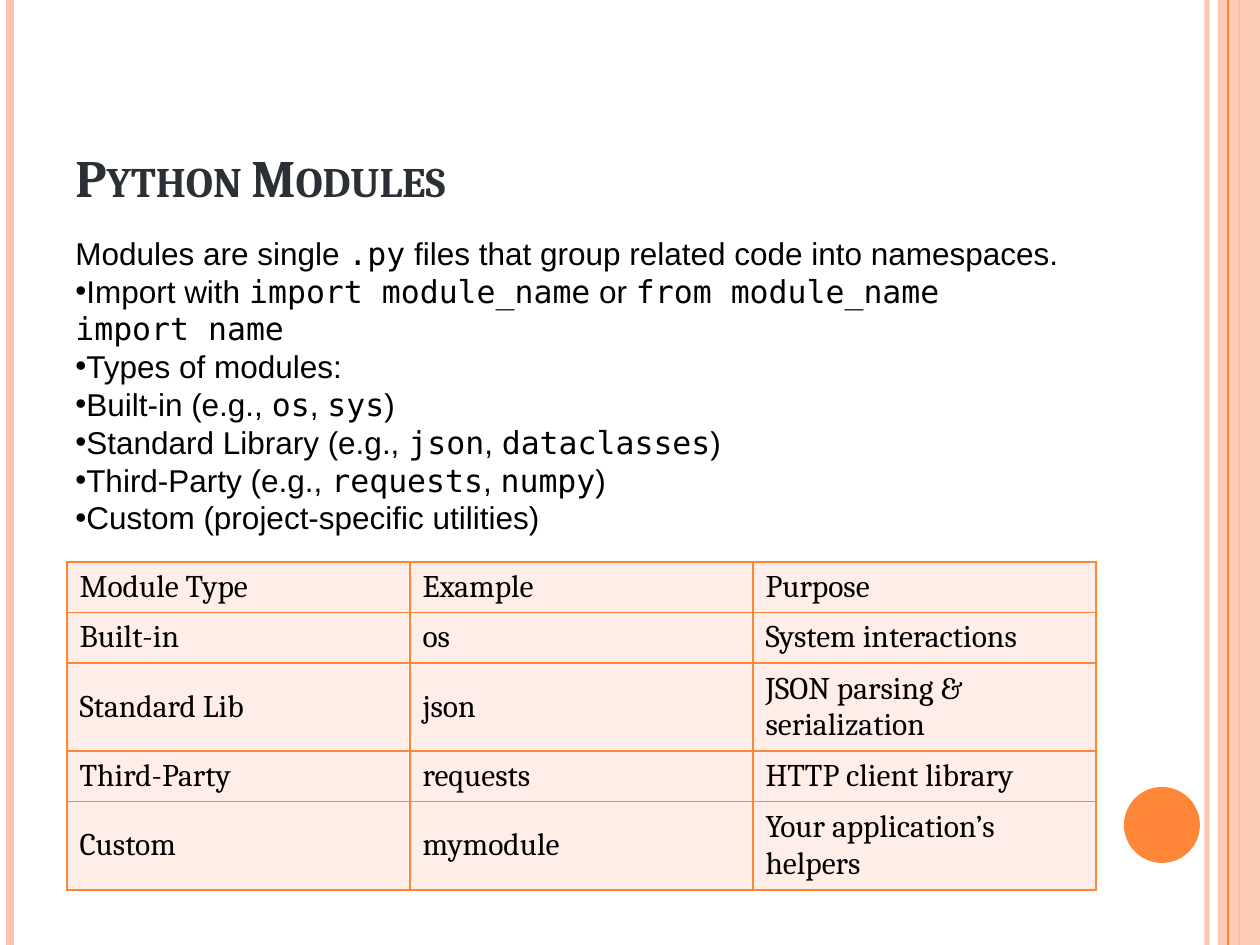
"""Build the Python Modules slide with python-pptx."""
from lxml.etree import SubElement
from pptx import Presentation
from pptx.dml.color import RGBColor
from pptx.enum.shapes import MSO_CONNECTOR, MSO_SHAPE
from pptx.enum.text import MSO_ANCHOR
from pptx.oxml.ns import qn
from pptx.util import Emu, Pt

PX = 914400 // 126
WIDTH, HEIGHT = 1260, 945
COLORS = {
    "peach": "FEC3AE",
    "orange": "FE8637",
    "cell": "FFEDE8",
    "title": "2B2F36",
    "text": "000000",
}
SERIF, SANS, MONO = "Cambria", "Arial", "DejaVu Sans Mono"
INTRO = [("Modules are single ", SANS), (".py", MONO),
         (" files that group related code into namespaces.", SANS)]
BULLETS = [
    [("Import with ", SANS), ("import module_name", MONO), (" or ", SANS),
     ("from module_name import name", MONO)],
    [("Types of modules:", SANS)],
    *([(f"{kind} (e.g., ", SANS), (first, MONO), (", ", SANS), (second, MONO), (")", SANS)]
      for kind, first, second in [
          ("Built-in", "os", "sys"),
          ("Standard Library", "json", "dataclasses"),
          ("Third-Party", "requests", "numpy")]),
    [("Custom (project-specific utilities)", SANS)],
]
MODULE_ROWS = [
    ("Module Type", "Example", "Purpose"),
    ("Built-in", "os", "System interactions"),
    ("Standard Lib", "json", "JSON parsing & serialization"),
    ("Third-Party", "requests", "HTTP client library"),
    ("Custom", "mymodule", "Your application’s helpers"),
]
ROW_HEIGHTS = [49, 49, 85, 49, 86]


def px(*lengths):
    return [Emu(length * PX) for length in lengths]


def color(name):
    return RGBColor.from_string(COLORS[name])


def set_opacity(fill_owner, percent):
    for color_node in fill_owner.iter(qn("a:srgbClr")):
        SubElement(color_node, qn("a:alpha"), val=str(percent * 1000))


def add_rule(slide, x, name, points, opacity=100):
    rule = slide.shapes.add_connector(MSO_CONNECTOR.STRAIGHT, *px(x, 0, x, HEIGHT))
    rule.line.color.rgb = color(name)
    rule.line.width = Pt(points)
    properties = rule._element.spPr
    if opacity < 100:
        set_opacity(properties, opacity)
    SubElement(properties, qn("a:effectLst"))


def add_filled_shape(slide, kind, box, name, opacity=100):
    shape = slide.shapes.add_shape(kind, *px(*box))
    shape.shadow.inherit = False
    shape.fill.solid()
    shape.fill.fore_color.rgb = color(name)
    shape.line.fill.background()
    if opacity < 100:
        set_opacity(shape._element.spPr, opacity)


def add_run(paragraph, text, font, size=18, name="text"):
    run = paragraph.add_run()
    run.text = text
    run.font.name = font
    run.font.size = Pt(size)
    run.font.color.rgb = color(name)
    return run


def add_text_frame(slide, box, anchor):
    frame = slide.shapes.add_textbox(*px(*box)).text_frame
    frame.word_wrap = True
    frame.vertical_anchor = anchor
    return frame


def add_title(slide):
    frame = add_text_frame(slide, (63, 16, 1029, 198), MSO_ANCHOR.BOTTOM)
    run = add_run(frame.paragraphs[0], "Python Modules", SERIF, 30, "title")
    run.font.bold = True
    run.font._element.set("cap", "small")


def add_body(slide):
    frame = add_text_frame(slide, (63, 226, 1010, 318), MSO_ANCHOR.MIDDLE)
    for index, pieces in enumerate([INTRO, *BULLETS]):
        paragraph = frame.add_paragraph() if index else frame.paragraphs[0]
        if index:
            properties = paragraph._p.get_or_add_pPr()
            SubElement(properties, qn("a:buFont"), typeface=SANS)
            SubElement(properties, qn("a:buChar"), char="•")
        for text, font in pieces:
            add_run(paragraph, text, font)


def style_cell(cell, text):
    cell.vertical_anchor = MSO_ANCHOR.MIDDLE
    add_run(cell.text_frame.paragraphs[0], text, SERIF)
    properties = cell._tc.get_or_add_tcPr()
    for side in ("lnL", "lnR", "lnT", "lnB"):
        border = SubElement(properties, qn(f"a:{side}"), w=str(Pt(1)))
        fill = SubElement(border, qn("a:solidFill"))
        SubElement(fill, qn("a:srgbClr"), val=COLORS["orange"])
    cell.fill.solid()
    cell.fill.fore_color.rgb = color("cell")


def add_module_table(slide):
    box = px(67, 562, 1029, sum(ROW_HEIGHTS))
    table = slide.shapes.add_table(len(MODULE_ROWS), len(MODULE_ROWS[0]), *box).table
    table.first_row = table.horz_banding = False
    for row, height, texts in zip(table.rows, ROW_HEIGHTS, MODULE_ROWS):
        row.height = Emu(height * PX)
        for cell, text in zip(row.cells, texts):
            style_cell(cell, text)


def add_decoration(slide):
    add_rule(slide, 1207, "peach", 3, 93)
    add_rule(slide, 10, "peach", 4.5)
    add_rule(slide, 1239, "orange", 1.5)
    add_filled_shape(slide, MSO_SHAPE.RECTANGLE, (1218, 0, 42, HEIGHT), "peach", 87)
    add_rule(slide, 1228, "orange", 0.75)
    add_filled_shape(slide, MSO_SHAPE.OVAL, (1124, 787, 76, 76), "orange")


def main():
    presentation = Presentation()
    presentation.slide_width, presentation.slide_height = px(WIDTH, HEIGHT)
    slide = presentation.slides.add_slide(presentation.slide_layouts[6])
    add_decoration(slide)
    add_title(slide)
    add_module_table(slide)
    add_body(slide)
    presentation.save("out.pptx")


if __name__ == "__main__":
    main()
